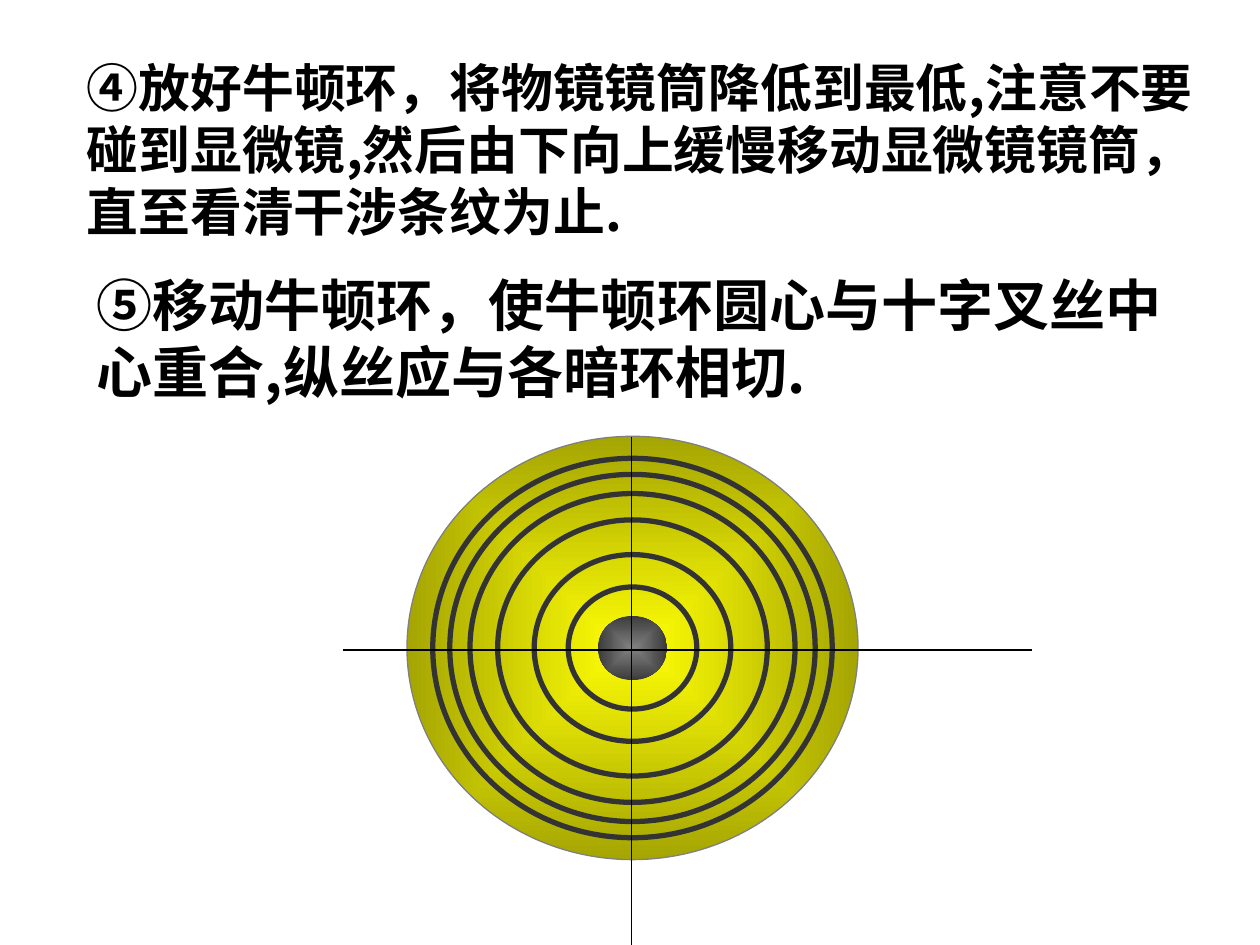
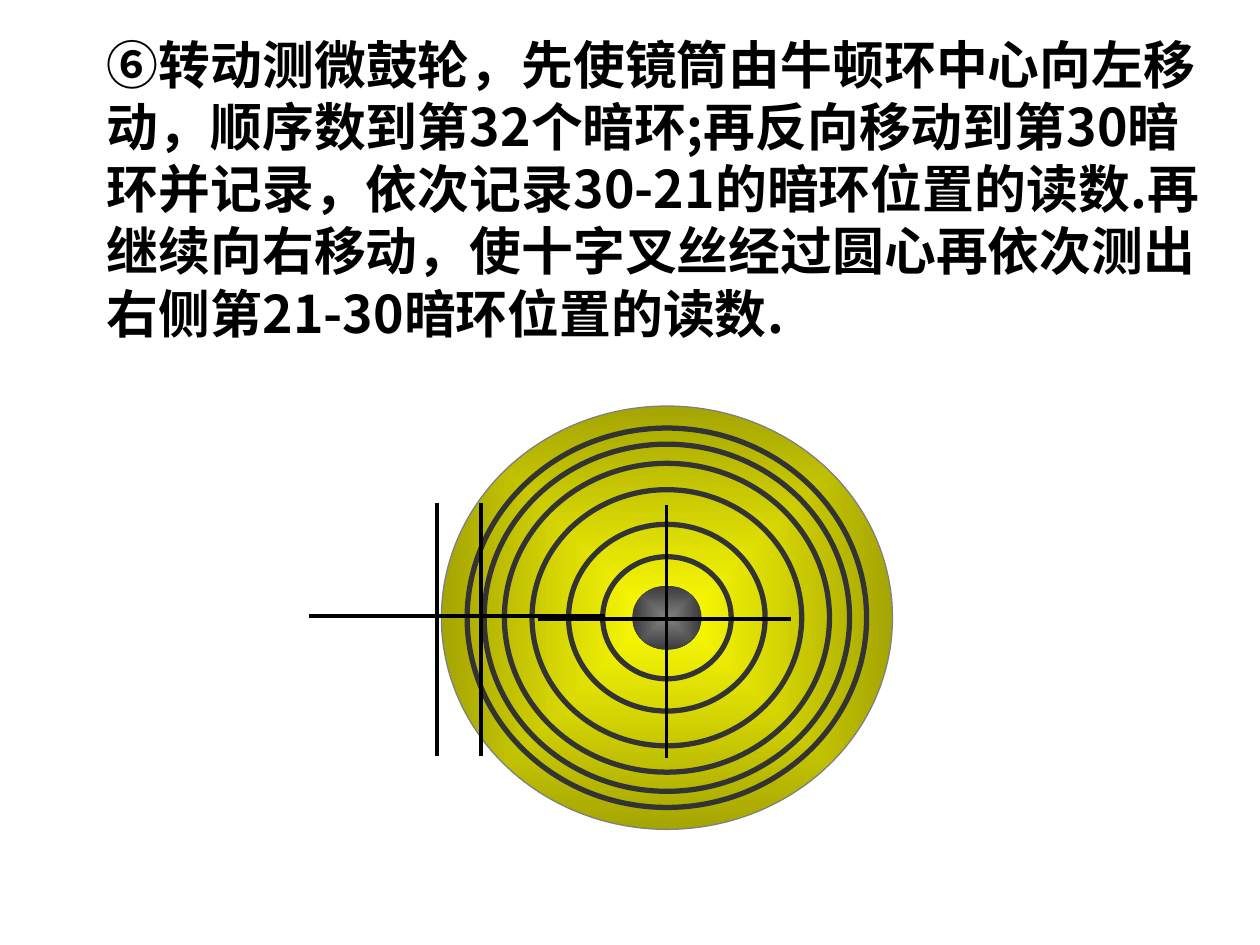
from typing import NamedTuple

from lxml.etree import SubElement
from pptx import Presentation
from pptx.dml.color import RGBColor
from pptx.enum.shapes import MSO_CONNECTOR as Connector, MSO_SHAPE as Shape
from pptx.enum.text import MSO_ANCHOR as Anchor, PP_ALIGN as Align
from pptx.oxml.ns import qn
from pptx.util import Inches, Pt

BLACK = RGBColor(0x00, 0x00, 0x00)
RING = RGBColor(0x33, 0x33, 0x33)
RIM = RGBColor(0x80, 0x80, 0x80)
DISC_COLOURS = RGBColor(0xFC, 0xFC, 0x04), RGBColor(0xA5, 0xA5, 0x03)
CORE_COLOURS = RGBColor(0x80, 0x80, 0x80), RGBColor(0x3B, 0x3B, 0x3B)

CJK_FONT = "Noto Sans CJK SC"
NUMBER_FONT = "Arial"
LINE_PITCH = 1.2

SLIDE_WIDTH, SLIDE_HEIGHT = Inches(10), Inches(7.5)
COLUMN, ROW = SLIDE_WIDTH / 100, SLIDE_HEIGHT / 75

DISC_WIDTH, DISC_HEIGHT = 35.8, 33.6
RING_WIDTHS = 31.7, 29, 25.8, 21.4, 15.6, 10.2
RING_ASPECT = 0.95
CORE_WIDTH, CORE_HEIGHT = 5.5, 5.1


class Box(NamedTuple):
    """An area of the slide in grid columns and rows."""

    left: float
    top: float
    width: float
    height: float

    def lengths(self):
        """Return the box as slide lengths."""
        return (round(self.left * COLUMN), round(self.top * ROW),
                round(self.width * COLUMN), round(self.height * ROW))

    def centred(self, width, height):
        """Return a box of the given size about the same centre."""
        return Box(self.left + (self.width - width) / 2,
                   self.top + (self.height - height) / 2, width, height)


def add_ellipse(group, box, colours=None, line=None, weight=0):
    """Add an ellipse with an optional centred gradient and outline."""
    ellipse = group.shapes.add_shape(Shape.OVAL, *box.lengths())
    ellipse.shadow.inherit = False
    if colours:
        ellipse.fill.gradient()
        for stop, colour, position in zip(ellipse.fill.gradient_stops, colours, (0, 1)):
            stop.color.rgb = colour
            stop.position = position
        gradient = ellipse.element.spPr.find(qn("a:gradFill"))
        gradient.remove(gradient.find(qn("a:lin")))
        centre = SubElement(gradient, qn("a:path"), {"path": "rect"})
        SubElement(centre, qn("a:fillToRect"), dict.fromkeys("ltrb", "50000"))
    else:
        ellipse.fill.background()
    if line is None:
        ellipse.line.fill.background()
    else:
        ellipse.line.color.rgb = line
        ellipse.line.width = Pt(weight)


def add_newton_rings(slide, left, top):
    """Draw the bright disc, its dark rings and its dark core."""
    group = slide.shapes.add_group_shape()
    disc = Box(left, top, DISC_WIDTH, DISC_HEIGHT)
    add_ellipse(group, disc, DISC_COLOURS, RIM, 0.75)
    for width in RING_WIDTHS:
        add_ellipse(group, disc.centred(width, width * RING_ASPECT), line=RING, weight=3)
    add_ellipse(group, disc.centred(CORE_WIDTH, CORE_HEIGHT), CORE_COLOURS)


def add_crosshair(slide, box, across, down, weight):
    """Draw two lines that cross at the given columns and rows into the box."""
    group = slide.shapes.add_group_shape()
    left, top, width, height = box.lengths()
    x, y = round(left + across * COLUMN), round(top + down * ROW)
    for ends in ((left, y, left + width, y), (x, top, x, top + height)):
        hair = group.shapes.add_connector(Connector.STRAIGHT, *ends)
        hair.line.color.rgb = BLACK
        hair.line.width = Pt(weight)
        SubElement(hair.element.spPr, qn("a:effectLst"))


def add_step(slide, box, size, runs):
    """Write one step of the procedure from (text, Latin font) runs."""
    text_frame = slide.shapes.add_textbox(*box.lengths()).text_frame
    text_frame.word_wrap = True
    text_frame.vertical_anchor = Anchor.TOP
    paragraph = text_frame.paragraphs[0]
    paragraph.alignment = Align.LEFT
    paragraph.line_spacing = Pt(size * LINE_PITCH)
    paragraph._p.get_or_add_pPr().set("hangingPunct", "0")
    for text, font_name in runs:
        run = paragraph.add_run()
        run.text = text
        run.font.name = font_name
        run.font.size = Pt(size)
        run.font.bold = True
        run.font.color.rgb = BLACK
        SubElement(run.font._element, qn("a:ea"), {"typeface": CJK_FONT})


def build_alignment_slide(slide):
    """Show focusing and centring of the rings."""
    add_newton_rings(slide, 32.3, 34.63)
    add_crosshair(slide, Box(27.2, 34.7, 54.7, 40.3), 22.9, 16.9, 0.75)
    add_step(slide, Box(6.7, 21, 90.6, 12.6), 32, [
        ("⑤移动牛顿环，使牛顿环圆心与十字叉丝中心重合,纵丝应与各暗环相切.", CJK_FONT)])
    add_step(slide, Box(5.9, 3.9, 91.4, 17), 29.6, [
        ("④", NUMBER_FONT),
        ("放好牛顿环，将物镜镜筒降低到最低,注意不要碰到显微镜,"
         "然后由下向上缓慢移动显微镜镜筒，直至看清干涉条纹为止.", CJK_FONT)])


def build_reading_slide(slide):
    """Show the crosshair positions while the rings are read."""
    add_newton_rings(slide, 35.03, 32.23)
    for left, top in ((42.7, 40.1), (24.5, 39.9), (28, 39.9)):
        add_crosshair(slide, Box(left, top, 20.05, 20.1), 10.2, 9, 2.25)
    add_step(slide, Box(7.5, 2.1, 90.6, 27.6), 29.6, [
        ("⑥", NUMBER_FONT),
        ("转动测微鼓轮，先使镜筒由牛顿环中心向左移动，顺序数到第32个暗环;"
         "再反向移动到第30暗环并记录，依次记录30-21的暗环位置的读数."
         "再继续向右移动，使十字叉丝经过圆心再依次测出右侧第21-30暗环位置的读数.", CJK_FONT)])


def main():
    """Build and save the presentation."""
    presentation = Presentation()
    presentation.slide_width, presentation.slide_height = SLIDE_WIDTH, SLIDE_HEIGHT
    blank_layout = presentation.slide_layouts[6]
    for build in (build_alignment_slide, build_reading_slide):
        build(presentation.slides.add_slide(blank_layout))
    presentation.save("out.pptx")


if __name__ == "__main__":
    main()
